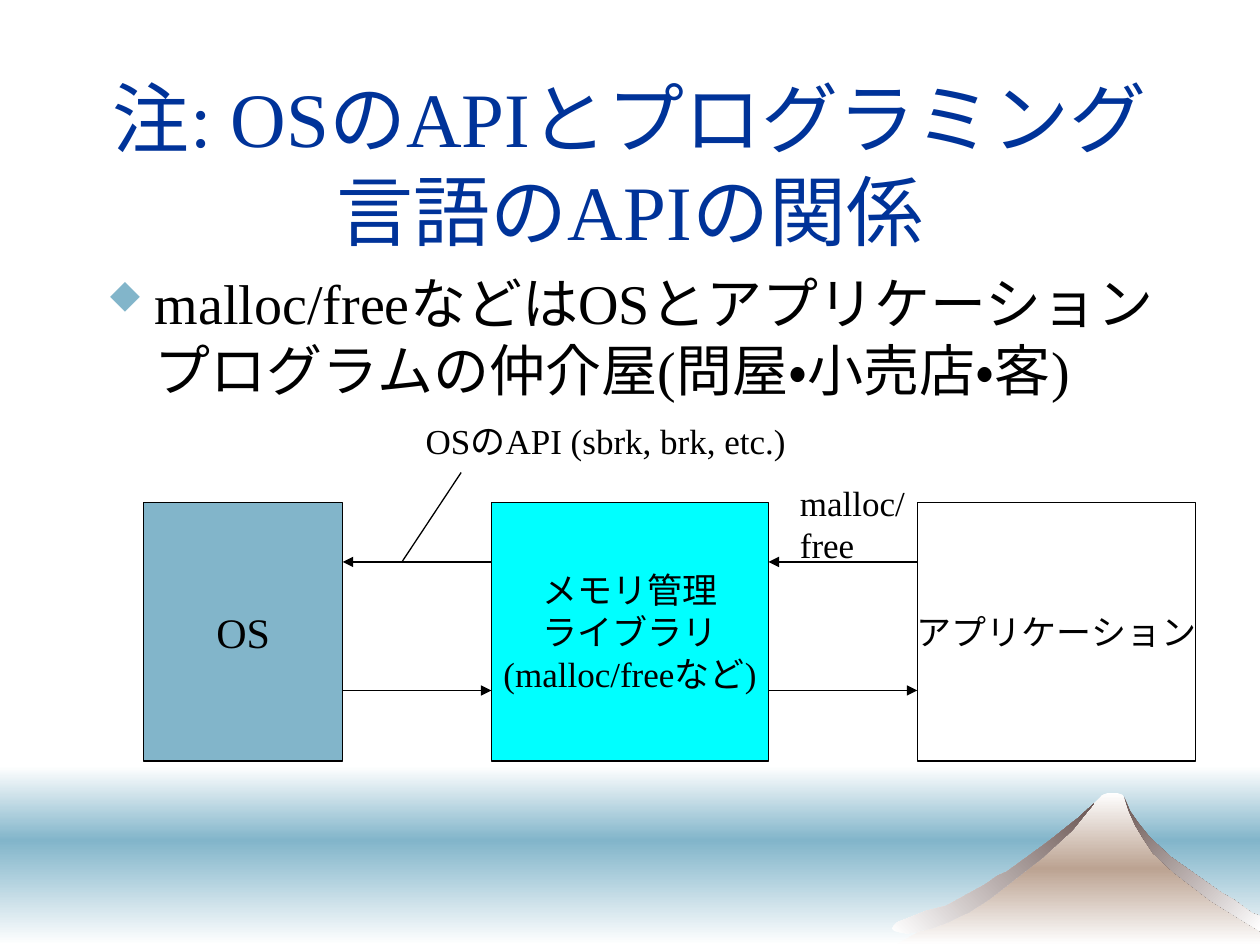
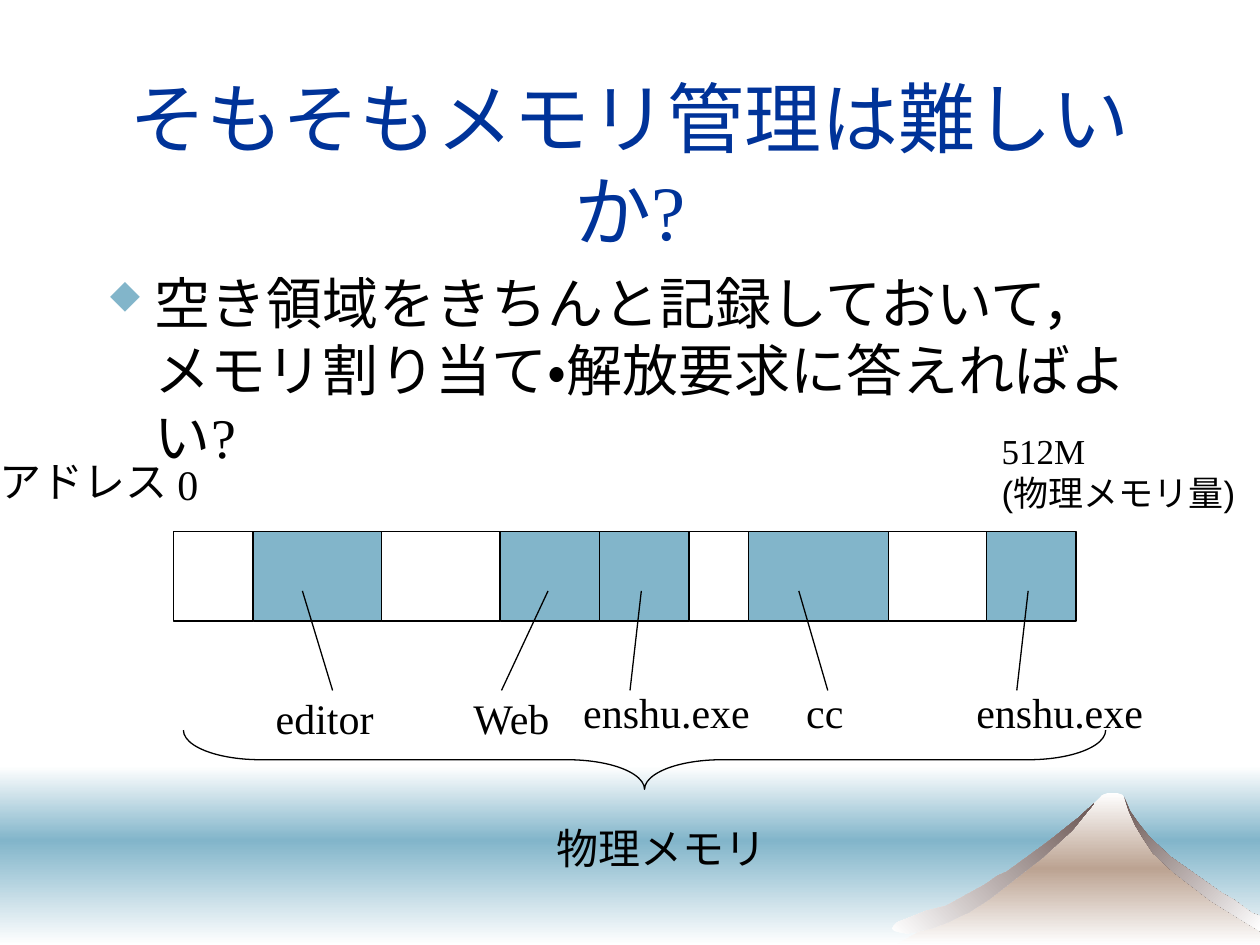
from pptx import Presentation
from pptx.dml.color import RGBColor
from pptx.enum import lang, shapes, text
from pptx.oxml import parse_xml
from pptx.oxml.ns import nsdecls, qn
from pptx.util import Inches, Pt

NAVY = RGBColor(0x00, 0x33, 0x99)
SKY = RGBColor(0x82, 0xB5, 0xCA)
CYAN = RGBColor(0x00, 0xFF, 0xFF)
WHITE = RGBColor(0xFF, 0xFF, 0xFF)
BLACK = RGBColor(0x00, 0x00, 0x00)
SAND = RGBColor(0xBC, 0xA3, 0x92)
BROWN = RGBColor(0x6B, 0x56, 0x53)
SERIF, SANS = "Times New Roman", "Arial"

TITLE_AREA = (0.75, 0.67, 8.5, 1.25)
BODY_AREA = (0.75, 2.08, 8.5, 4.5)
BULLET_INDENT = 0.38
LABEL_SLACK = 0.1

BANDS = [
    ((0, 6.08, 10, 0.59), (WHITE, SKY)),
    ((0, 6.67, 10, 0.83), (SKY, WHITE)),
]
MOUNTAIN = [
    ([(7.11, 7.5), (7.9, 7.05), (8.4, 6.66), (8.69, 6.37), (8.75, 6.31), (8.8, 6.29),
      (8.86, 6.29), (8.91, 6.31), (9.03, 6.57), (9.22, 6.8), (9.68, 7.12), (10, 7.33),
      (10, 7.5)], (WHITE, SAND, WHITE), 90),
    ([(9.15, 6.77), (9.31, 6.92), (9.48, 7.05), (9.61, 7.15), (9.9, 7.33), (10, 7.39),
      (10, 7.27), (9.94, 7.25), (9.79, 7.14), (9.7, 7.09), (9.29, 6.8), (9.12, 6.64),
      (9.04, 6.54), (8.97, 6.44), (8.92, 6.32), (8.96, 6.44), (9.01, 6.55),
      (9.07, 6.65)], (BROWN, WHITE), 45),
    ([(8.32, 6.68), (7.99, 6.92), (7.92, 6.95), (7.82, 7.02), (7.51, 7.19), (7.35, 7.23),
      (7.2, 7.29), (7.12, 7.32), (7.09, 7.35), (7.08, 7.37), (7.1, 7.39), (7.14, 7.4),
      (7.2, 7.41), (7.3, 7.39), (7.39, 7.37), (7.5, 7.33), (7.69, 7.24), (7.8, 7.17),
      (7.86, 7.13), (8.27, 6.81), (8.51, 6.59), (8.64, 6.43), (8.68, 6.38),
      (8.56, 6.49)], (WHITE, BROWN), 315),
]

API_TITLE = "注: OSのAPIとプログラミング言語のAPIの関係"
API_BODY = "malloc/freeなどはOSとアプリケーションプログラムの仲介屋(問屋・小売店・客)"
LAYER_TOP, LAYER_HEIGHT = 3.99, 2.05
LAYERS = [
    (1.14, 1.58, SKY, 24, ["OS"]),
    (3.9, 2.2, CYAN, 20, ["メモリ管理", "ライブラリ", "(malloc/freeなど)"]),
    (7.28, 2.21, WHITE, 20, ["アプリケーション"]),
]
REQUEST_Y, REPLY_Y = 4.46, 5.48
API_LABELS = [
    ((6.25, 3.77, 1.03, 0.77), ["malloc/", "free"]),
    ((3.28, 3.28, 3.19, 0.44), ["OSのAPI (sbrk, brk, etc.)"]),
]
API_POINTER = ((3.19, REQUEST_Y), (3.66, 3.75))

MEMORY_TITLE = "そもそもメモリ管理は難しいか?"
MEMORY_BODY = "空き領域をきちんと記録しておいて，メモリ割り当て・解放要求に答えればよい?"
MEMORY_TOP, MEMORY_HEIGHT = 4.22, 0.71
MEMORY_EDGES = [1.38, 2.01, 3.03, 3.97, 4.76, 5.47, 5.94, 7.05, 7.83, 8.54]
MEMORY_COLORS = [WHITE, SKY, WHITE, SKY, SKY, WHITE, SKY, WHITE, SKY]
POINTER_TOP, POINTER_BOTTOM = 4.69, 5.48
PROGRAMS = [
    ("editor", (2.09, 5.45, 1.03, 0.5), 2.4, 2.64),
    ("Web", (3.66, 5.45, 0.76, 0.5), 4.35, 3.98),
    ("enshu.exe", (4.53, 5.4, 1.52, 0.5), 5.09, 5.0),
    ("cc", (6.3, 5.4, 0.66, 0.5), 6.34, 6.57),
    ("enshu.exe", (7.65, 5.4, 1.52, 0.5), 8.16, 8.07),
]
MEMORY_LABELS = [
    ((-0.1, 3.57, 1.53, 0.5), 24, [("アドレス", SANS)]),
    ((1.31, 3.59, 0.36, 0.5), 24, [("0", SERIF)]),
    ((7.85, 3.36, 2.19, 0.77), 20, [("512M", SERIF), ("(物理メモリ量)", SANS)]),
    ((4.32, 6.48, 1.86, 0.5), 24, [("物理メモリ", SANS)]),
]
BRACE_AREA = (4.88, 2.37, 0.47, 7.32)


def inches(values):
    return [Inches(value) for value in values]


def write(frame, lines, size, color=BLACK, align=text.PP_ALIGN.LEFT):
    for number, (line, font_name) in enumerate(lines):
        paragraph = frame.add_paragraph() if number else frame.paragraphs[0]
        paragraph.alignment = align
        run = paragraph.add_run()
        run.text = line
        run.font.name, run.font.size = font_name, Pt(size)
        run.font.color.rgb = color
        run.font.language_id = lang.MSO_LANGUAGE_ID.JAPANESE


def serif(lines):
    return [(line, SERIF) for line in lines]


def fill_gradient(shape, colors, angle):
    shape.shadow.inherit = False
    shape.line.fill.background()
    shape.fill.background()
    last = len(colors) - 1
    stops = "".join(
        f'<a:gs pos="{100000 * number // last}"><a:srgbClr val="{color}"/></a:gs>'
        for number, color in enumerate(colors))
    properties = shape.element.spPr
    properties.replace(properties.find(qn("a:noFill")), parse_xml(
        f'<a:gradFill {nsdecls("a")} rotWithShape="1"><a:gsLst>{stops}</a:gsLst>'
        f'<a:lin ang="{angle * 60000}" scaled="0"/></a:gradFill>'))


def add_scenery(slide, layout):
    group = slide.shapes.add_group_shape()
    for area, colors in BANDS:
        band = group.shapes.add_shape(shapes.MSO_SHAPE.RECTANGLE, *inches(area))
        fill_gradient(band, colors, 90)
    for points, colors, angle in MOUNTAIN:
        start, *rest = [inches(point) for point in points]
        builder = group.shapes.build_freeform(*start)
        builder.add_line_segments(rest, close=True)
        fill_gradient(builder.convert_to_shape(), colors, angle)
    layout.shapes.element.append(group.element)


def place(shape, area):
    shape.left, shape.top, shape.width, shape.height = inches(area)
    shape.text_frame.auto_size = text.MSO_AUTO_SIZE.NONE


def add_bullet(paragraph):
    properties = paragraph._p.get_or_add_pPr()
    properties.set("marL", str(Inches(BULLET_INDENT)))
    properties.set("indent", str(-Inches(BULLET_INDENT)))
    for bullet in (f'buClr {nsdecls("a")}><a:srgbClr val="{SKY}"/></a:buClr>',
                   f'buSzPct {nsdecls("a")} val="65000"/>',
                   f'buFont {nsdecls("a")} typeface="Wingdings" charset="2"/>',
                   f'buChar {nsdecls("a")} char="u"/>'):
        properties.append(parse_xml("<a:" + bullet))


def add_slide(presentation, layout, title_text, body_text):
    slide = presentation.slides.add_slide(layout)
    title, body = slide.shapes.title, slide.placeholders[1]
    place(title, TITLE_AREA)
    place(body, BODY_AREA)
    title.text_frame.vertical_anchor = text.MSO_ANCHOR.MIDDLE
    write(title.text_frame, serif([title_text]), 44, NAVY, text.PP_ALIGN.CENTER)
    write(body.text_frame, serif([body_text]), 32)
    paragraph = body.text_frame.paragraphs[0]
    paragraph.space_before = Pt(8)
    add_bullet(paragraph)
    return slide


def add_outlined(slide, kind, area, color=None):
    shape = slide.shapes.add_shape(kind, *inches(area))
    shape.shadow.inherit = False
    shape.line.color.rgb, shape.line.width = BLACK, Pt(0.75)
    if color is None:
        shape.fill.background()
    else:
        shape.fill.solid()
        shape.fill.fore_color.rgb = color
    return shape


def add_label(slide, area, lines, size):
    left, top, width, height = area
    label = slide.shapes.add_textbox(*inches((left, top, width + LABEL_SLACK, height)))
    frame = label.text_frame
    frame.word_wrap = False
    frame.auto_size = text.MSO_AUTO_SIZE.SHAPE_TO_FIT_TEXT
    write(frame, lines, size)


def add_line(slide, start, end, arrow=False):
    line = slide.shapes.add_connector(shapes.MSO_CONNECTOR.STRAIGHT, *inches(start + end))
    line.line.color.rgb, line.line.width = BLACK, Pt(0.75)
    properties = line.element.spPr
    if arrow:
        properties.find(qn("a:ln")).append(
            parse_xml(f'<a:tailEnd {nsdecls("a")} type="triangle"/>'))
    properties.append(parse_xml(f'<a:effectLst {nsdecls("a")}/>'))


def draw_api_layers(slide):
    for left, width, color, size, lines in LAYERS:
        box = add_outlined(slide, shapes.MSO_SHAPE.RECTANGLE,
                           (left, LAYER_TOP, width, LAYER_HEIGHT), color)
        box.text_frame.word_wrap = False
        box.text_frame.vertical_anchor = text.MSO_ANCHOR.MIDDLE
        write(box.text_frame, serif(lines), size, align=text.PP_ALIGN.CENTER)
    for lower, upper in zip(LAYERS, LAYERS[1:]):
        lower_edge, upper_edge = lower[0] + lower[1], upper[0]
        add_line(slide, (upper_edge, REQUEST_Y), (lower_edge, REQUEST_Y), arrow=True)
        add_line(slide, (lower_edge, REPLY_Y), (upper_edge, REPLY_Y), arrow=True)
    for area, lines in API_LABELS:
        add_label(slide, area, serif(lines), 20)
    add_line(slide, *API_POINTER)


def draw_memory_map(slide):
    for left, right, color in zip(MEMORY_EDGES, MEMORY_EDGES[1:], MEMORY_COLORS):
        add_outlined(slide, shapes.MSO_SHAPE.RECTANGLE,
                     (left, MEMORY_TOP, right - left, MEMORY_HEIGHT), color)
    for name, area, top_x, bottom_x in PROGRAMS:
        add_label(slide, area, serif([name]), 24)
        add_line(slide, (top_x, POINTER_TOP), (bottom_x, POINTER_BOTTOM))
    for area, size, lines in MEMORY_LABELS:
        add_label(slide, area, lines, size)
    brace = add_outlined(slide, shapes.MSO_SHAPE.RIGHT_BRACE, BRACE_AREA)
    brace.rotation = 90
    brace.adjustments[0] = 1.3


def main():
    """Build the two memory management slides."""
    presentation = Presentation()
    presentation.slide_width, presentation.slide_height = Inches(10), Inches(7.5)
    layout = presentation.slide_layouts[1]
    api_slide = add_slide(presentation, layout, API_TITLE, API_BODY)
    add_scenery(api_slide, layout)
    draw_api_layers(api_slide)
    draw_memory_map(add_slide(presentation, layout, MEMORY_TITLE, MEMORY_BODY))
    presentation.save("out.pptx")


if __name__ == "__main__":
    main()
